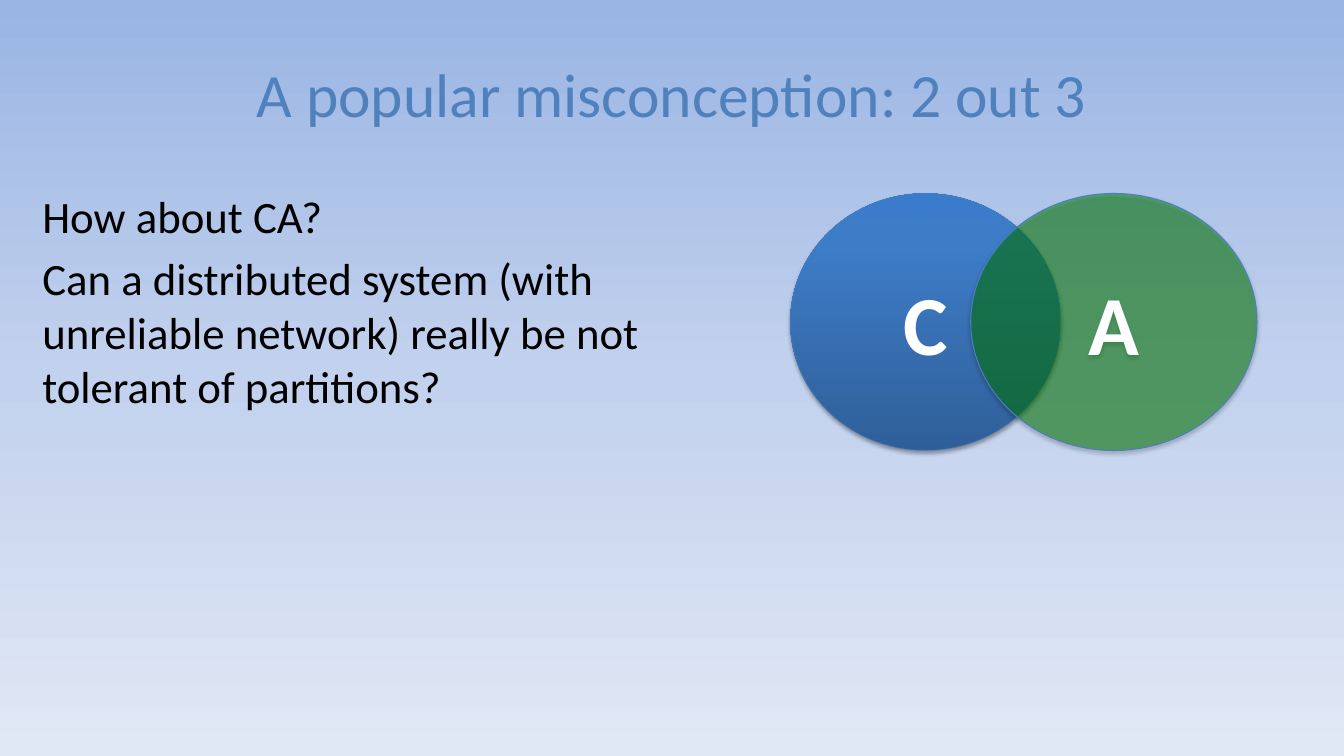
import copy

import pptx
import pptx.dml.color
import pptx.enum.shapes
import pptx.enum.text
import pptx.oxml
import pptx.oxml.ns
import pptx.util

Pt = pptx.util.Pt
qn = pptx.oxml.ns.qn
ALIGN = pptx.enum.text.PP_ALIGN
ANCHOR = pptx.enum.text.MSO_ANCHOR


def color(value):
    return pptx.dml.color.RGBColor.from_string(value)


def set_gradient(fill, element, stops, angle):
    """Give the fill inside element three stops; angle is counter-clockwise."""
    fill.gradient()
    fill.gradient_angle = angle
    stop_list = element.find(".//" + qn("a:gsLst"))
    stop_list.append(copy.deepcopy(stop_list[0]))
    for stop, (position, value) in zip(fill.gradient_stops, stops):
        stop.position = position
        stop.color.rgb = color(value)


SHADOW = (
    '<a:outerShdw xmlns:a="http://schemas.openxmlformats.org/drawingml/2006/main" '
    'blurRad="39370" dist="22860" dir="5400000" rotWithShape="0">'
    '<a:srgbClr val="000000"><a:alpha val="35000"/></a:srgbClr></a:outerShdw>'
)

presentation = pptx.Presentation()
presentation.slide_width = Pt(960)
presentation.slide_height = Pt(540)
slide = presentation.slides.add_slide(presentation.slide_layouts[1])
set_gradient(slide.background.fill, slide.element,
             [(0, "9AB5E4"), (0.5, "C2D1ED"), (1, "E1E8F5")], 270)

# Title and body
title, body = slide.placeholders
texts = [
    (title, (48, 21.6, 864, 90), ANCHOR.MIDDLE, ALIGN.CENTER, 0,
     {"size": Pt(44), "name": "Calibri"}, "4F81BD",
     ["A popular misconception: 2 out 3"]),
    (body, (23, 131, 486.7, 356.4), ANCHOR.TOP, ALIGN.LEFT, 6.4,
     {"size": Pt(32), "name": "Calibri"}, "000000",
     ["How about CA?",
      "Can a distributed system (with unreliable network) really be not "
      "tolerant of partitions?"]),
]
for shape, box, anchor, alignment, space_before, font_format, font_color, lines in texts:
    shape.left, shape.top, shape.width, shape.height = map(Pt, box)
    shape.text_frame.text = "\n".join(lines)
    shape.text_frame.vertical_anchor = anchor
    for paragraph in shape.text_frame.paragraphs:
        paragraph.alignment = alignment
        paragraph.space_before = Pt(space_before)
        font = paragraph.runs[0].font
        for name, value in font_format.items():
            setattr(font, name, value)
        font.color.rgb = color(font_color)

for paragraph in body.text_frame.paragraphs:
    properties = paragraph._p.get_or_add_pPr()
    properties.set("marL", "0")
    properties.set("indent", "0")
    properties.append(pptx.oxml.parse_xml(
        '<a:buNone xmlns:a="http://schemas.openxmlformats.org/drawingml/2006/main"/>'))

# Overlapping circles: consistency and availability
letter_format = {"size": Pt(60), "name": "Calibri", "bold": True}
circles = {}
for letter, left, width in [("C", 564.5, 193), ("A", 693.4, 204.5)]:
    circle = slide.shapes.add_shape(pptx.enum.shapes.MSO_SHAPE.OVAL,
                                    Pt(left), Pt(138.2), Pt(width), Pt(183.6))
    circle.line.color.rgb = color("4B7EBC")
    circle.line.width = Pt(0.75)
    circle.shadow.inherit = False
    circle.element.spPr.find(qn("a:effectLst")).append(pptx.oxml.parse_xml(SHADOW))
    circle.text_frame.text = letter
    circle.text_frame.vertical_anchor = ANCHOR.MIDDLE
    paragraph = circle.text_frame.paragraphs[0]
    paragraph.alignment = ALIGN.CENTER
    font = paragraph.runs[0].font
    for name, value in letter_format.items():
        setattr(font, name, value)
    font.color.rgb = color("FFFFFF")
    circles[letter] = circle

set_gradient(circles["C"].fill, circles["C"].element,
             [(0, "2F5F99"), (0.8, "3D7CC7"), (1, "3A7CCB")], 90)
circles["A"].fill.solid()
circles["A"].fill.fore_color.rgb = color("008000")

# Half-transparent outline of C and fill of A
for letter, location in [("C", "a:ln/a:solidFill/a:srgbClr"), ("A", "a:solidFill/a:srgbClr")]:
    for element in circles[letter].element.spPr.xpath(location):
        alpha = element.makeelement(qn("a:alpha"), {"val": "50000"})
        element.append(alpha)

presentation.save("out.pptx")
